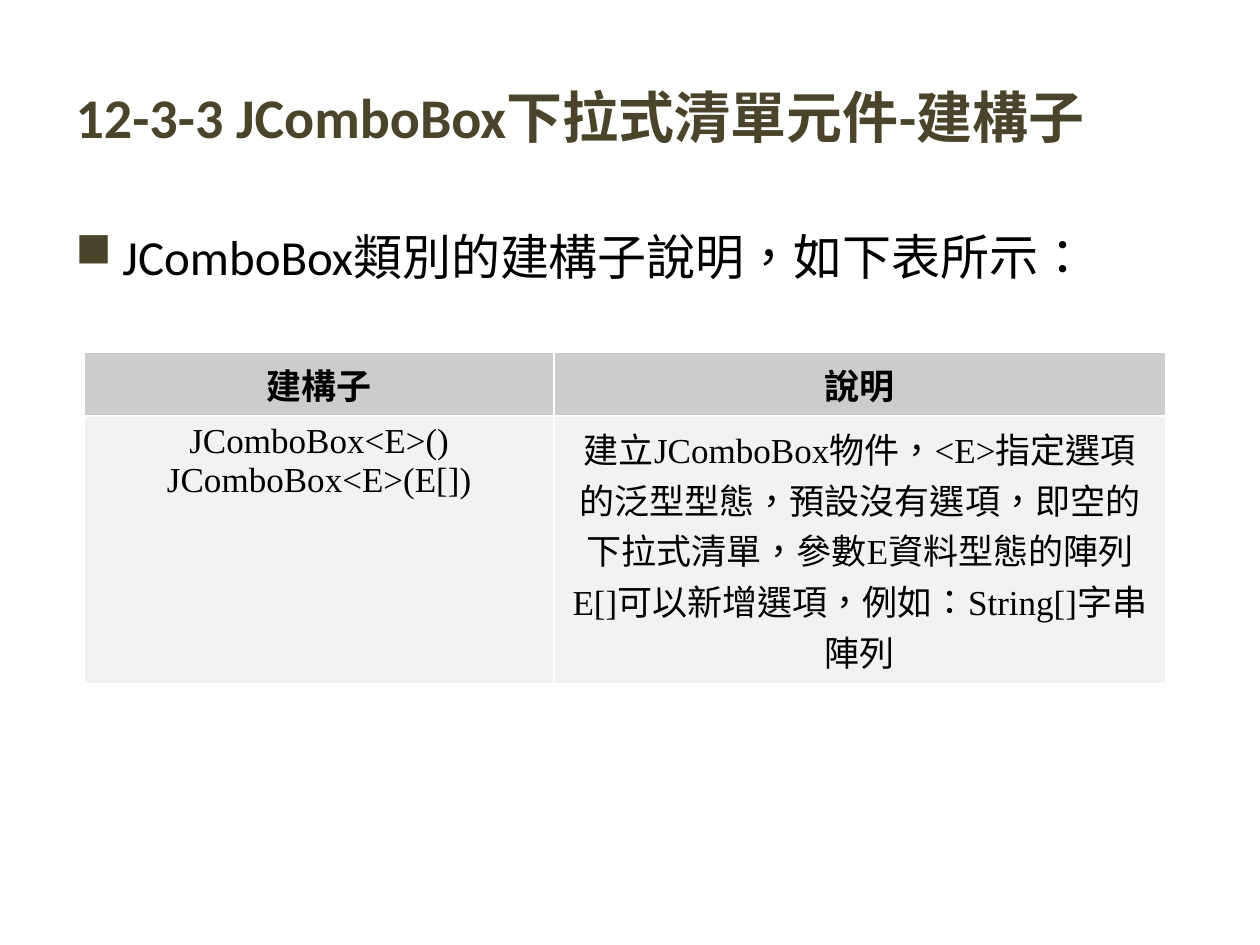
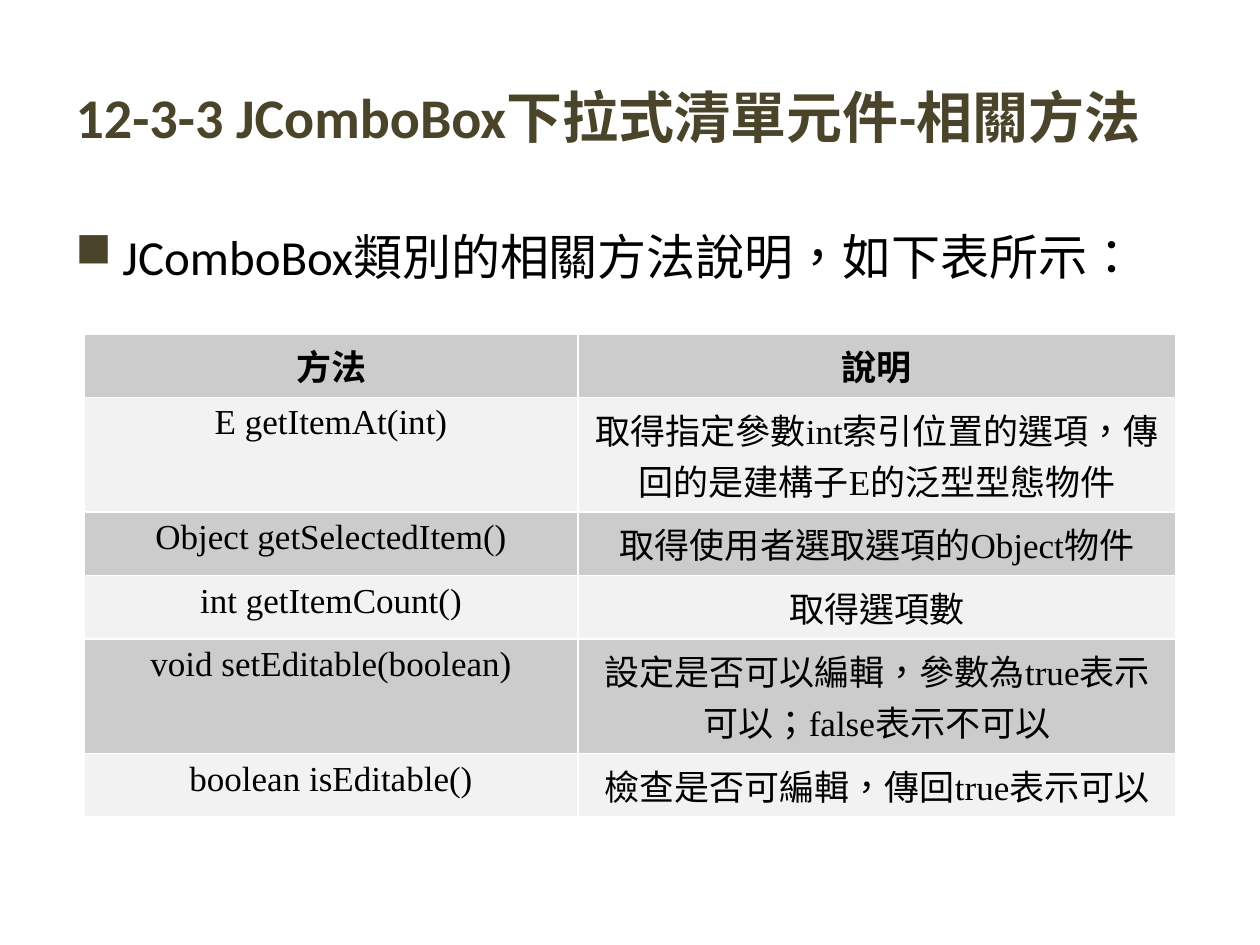
from lxml import etree
from pptx import Presentation
from pptx.dml.color import RGBColor
from pptx.enum.lang import MSO_LANGUAGE_ID as Language
from pptx.enum.text import MSO_ANCHOR as Anchor, MSO_AUTO_SIZE as AutoSize, PP_ALIGN as Align
from pptx.oxml import parse_xml
from pptx.oxml.ns import nsdecls, qn
from pptx.util import Cm, Pt

OLIVE, BLACK, WHITE = "4A452A", "000000", "FFFFFF"
BAND_FILLS = ["CCCCCC", "F2F2F2"]
HEADING = "12-3-3 JComboBox下拉式清單元件-"
LINE_ROW, TWO_LINE_ROW, FIVE_LINE_ROW = 1.28, 2.31, 5.39

SLIDES = [
    {
        "topic": "建構子",
        "intro": "JComboBox類別的建構子說明，如下表所示：",
        "top": 7.11,
        "column_widths": [9.47, 12.33],
        "row_heights": [LINE_ROW, FIVE_LINE_ROW],
        "rows": [
            ("建構子", "說明"),
            ("JComboBox<E>()\nJComboBox<E>(E[])",
             "建立JComboBox物件，<E>指定選項的泛型型態，預設沒有選項，即空的下拉式清單，"
             "參數E資料型態的陣列E[]可以新增選項，例如：String[]字串陣列"),
        ],
    },
    {
        "topic": "相關方法",
        "intro": "JComboBox類別的相關方法說明，如下表所示：",
        "top": 6.73,
        "column_widths": [9.95, 12.06],
        "row_heights": [LINE_ROW, TWO_LINE_ROW, LINE_ROW, LINE_ROW, TWO_LINE_ROW, LINE_ROW],
        "rows": [
            ("方法", "說明"),
            ("E getItemAt(int)", "取得指定參數int索引位置的選項，傳回的是建構子E的泛型型態物件"),
            ("Object getSelectedItem()", "取得使用者選取選項的Object物件"),
            ("int getItemCount()", "取得選項數"),
            ("void setEditable(boolean)", "設定是否可以編輯，參數為true表示可以；false表示不可以"),
            ("boolean isEditable()", "檢查是否可編輯，傳回true表示可以"),
        ],
    },
]


def rgb(color):
    return RGBColor.from_string(color)


def add_run(paragraph, text, font_name, size, color=BLACK, bold=False):
    run = paragraph.add_run()
    run.text = text
    font = run.font
    font.name, font.size, font.bold = font_name, Pt(size), bold
    font.color.rgb = rgb(color)
    font.language_id = Language.TRADITIONAL_CHINESE


presentation = Presentation()
presentation.slide_width, presentation.slide_height = Cm(25.4), Cm(19.05)
title_only = presentation.slide_layouts[5]

for content in SLIDES:
    slide = presentation.slides.add_slide(title_only)

    title = slide.shapes.title
    title.left, title.top, title.width, title.height = Cm(1.27), Cm(0.76), Cm(22.86), Cm(3.18)
    title.text_frame.word_wrap = True
    title.text_frame.auto_size = AutoSize.NONE
    title.text_frame.vertical_anchor = Anchor.MIDDLE
    paragraph = title.text_frame.paragraphs[0]
    paragraph.alignment = Align.LEFT
    add_run(paragraph, HEADING + content["topic"], "Calibri", 32, OLIVE, bold=True)

    intro = slide.shapes.add_textbox(Cm(1.27), Cm(4.45), Cm(22.86), Cm(12.57))
    intro.text_frame.word_wrap = True
    paragraph = intro.text_frame.paragraphs[0]
    properties = paragraph._p.get_or_add_pPr()
    properties.set("marL", str(Cm(0.95)))
    properties.set("indent", str(Cm(-0.95)))
    bullet_color = etree.SubElement(properties, qn("a:buClr"))
    etree.SubElement(bullet_color, qn("a:srgbClr"), val=OLIVE)
    # In Wingdings the letter n is a filled square
    etree.SubElement(properties, qn("a:buFont"), typeface="Wingdings", charset="2")
    etree.SubElement(properties, qn("a:buChar"), char="n")
    paragraph.space_before = Pt(7)
    add_run(paragraph, content["intro"], "Calibri", 28)

    widths, heights = content["column_widths"], content["row_heights"]
    table = slide.shapes.add_table(
        len(heights), len(widths),
        Cm(1.7), Cm(content["top"]), Cm(sum(widths)), Cm(sum(heights)),
    ).table
    table.first_row = table.horz_banding = False
    for column, width in zip(table.columns, widths):
        column.width = Cm(width)

    for row_index, (height, texts) in enumerate(zip(heights, content["rows"])):
        table.rows[row_index].height = Cm(height)
        for column_index, text in enumerate(texts):
            cell = table.cell(row_index, column_index)
            for edge in ("lnL", "lnR", "lnT", "lnB"):
                cell._tc.get_or_add_tcPr().append(parse_xml(
                    f'<a:{edge} {nsdecls("a")} w="{Pt(0.96)}"><a:solidFill>'
                    f'<a:srgbClr val="{WHITE}"/></a:solidFill></a:{edge}>'))
            cell.fill.solid()
            cell.fill.fore_color.rgb = rgb(BAND_FILLS[row_index % 2])
            for line_index, line in enumerate(text.split("\n")):
                frame = cell.text_frame
                paragraph = frame.add_paragraph() if line_index else frame.paragraphs[0]
                paragraph.alignment = Align.CENTER
                add_run(paragraph, line, "Times New Roman", 20, bold=row_index == 0)

presentation.save("out.pptx")
